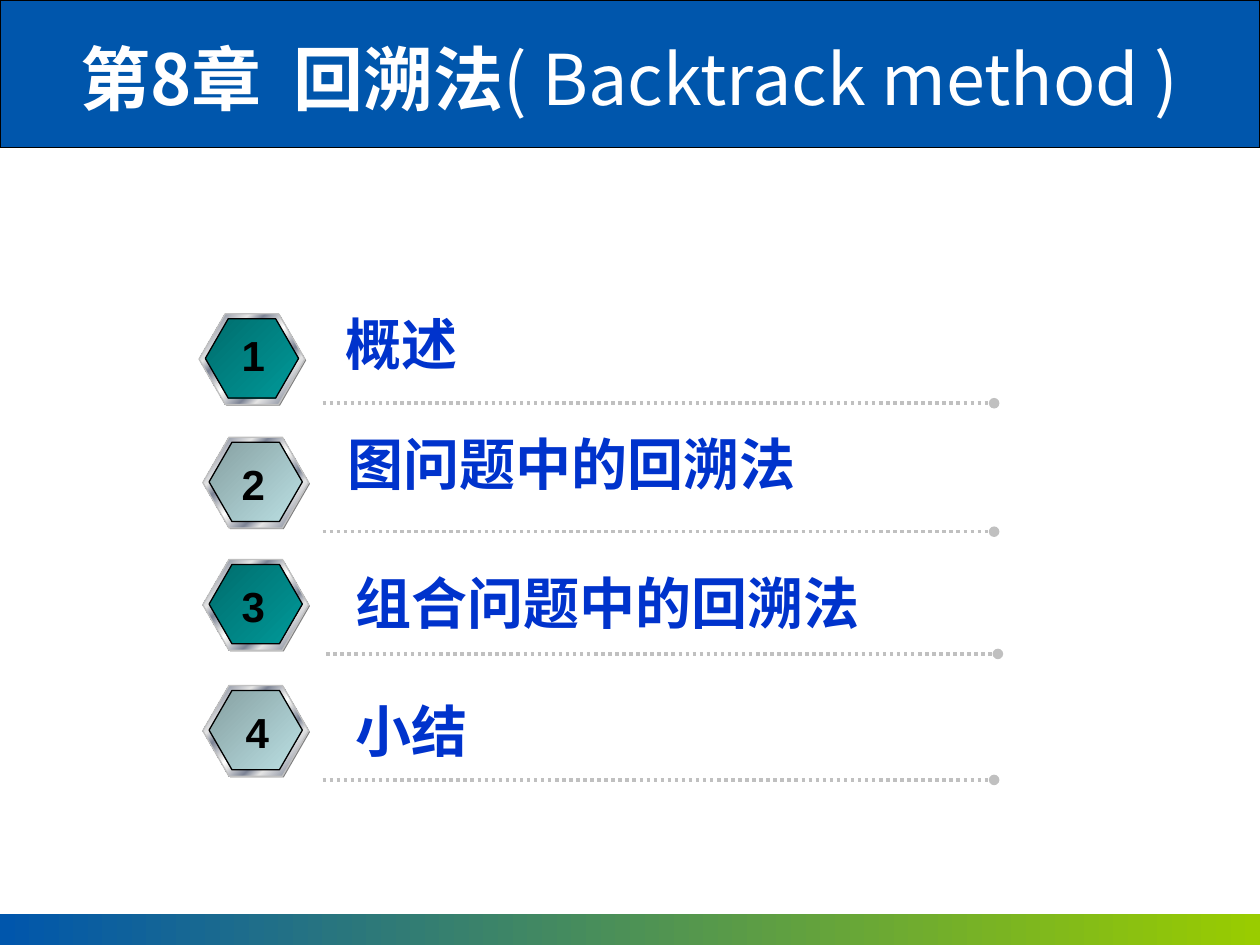
from lxml import etree
from pptx import Presentation
from pptx.dml.color import RGBColor
from pptx.enum.dml import MSO_LINE
from pptx.enum.shapes import MSO_CONNECTOR, MSO_SHAPE
from pptx.enum.text import MSO_AUTO_SIZE, PP_ALIGN
from pptx.oxml.ns import qn
from pptx.util import Inches, Pt

RECTANGLE, HEXAGON = MSO_SHAPE.RECTANGLE, MSO_SHAPE.HEXAGON
STRAIGHT, DOTTED = MSO_CONNECTOR.STRAIGHT, MSO_LINE.ROUND_DOT
LEFT, CENTER = PP_ALIGN.LEFT, PP_ALIGN.CENTER
FIT_SHAPE = MSO_AUTO_SIZE.SHAPE_TO_FIT_TEXT

WHITE = RGBColor(0xFF, 0xFF, 0xFF)
BLACK = RGBColor(0x00, 0x00, 0x00)
BLUE = RGBColor(0x00, 0x56, 0xAC)
LIME = RGBColor(0x99, 0xCC, 0x00)
TOPIC_BLUE = RGBColor(0x00, 0x33, 0xCC)
GRAY = RGBColor(0x80, 0x80, 0x80)
SILVER = RGBColor(0xC0, 0xC0, 0xC0)
PALE = RGBColor(0xE6, 0xE6, 0xE6)
STEEL = RGBColor(0x7D, 0x84, 0x96)
TEAL_DARK = RGBColor(0x00, 0x6D, 0x6D)
TEAL = RGBColor(0x00, 0x99, 0x99)
MIST_DARK = RGBColor(0x86, 0xA0, 0xA2)
MIST = RGBColor(0xBB, 0xE0, 0xE3)

METAL = [(0, PALE), (8, STEEL), (26, PALE), (34, STEEL), (46, PALE), (50, WHITE),
         (54, PALE), (66, STEEL), (74, PALE), (92, STEEL), (100, PALE)]
TEAL_FACE = [(0, TEAL_DARK), (100, TEAL)]
MIST_FACE = [(0, MIST_DARK), (100, MIST)]
CJK_FONT = "Noto Sans CJK SC"

deck = Presentation()
deck.slide_width, deck.slide_height = Inches(10), Inches(7.5)
slide = deck.slides.add_slide(deck.slide_layouts[6])


def draw(preset, box, stops, angle=0, outline=None):
    shape = slide.shapes.add_shape(preset, *map(Inches, box))
    shape.shadow.inherit = False
    if preset == HEXAGON:
        shape.adjustments[0], shape.adjustments[1] = 0.289, 1.155
    if len(stops) == 1:
        shape.fill.solid()
        shape.fill.fore_color.rgb = stops[0][1]
    else:
        shape.fill.gradient()
        shape.fill.gradient_angle = -angle % 360
        stop_list = shape._element.spPr.find(qn("a:gradFill")).find(qn("a:gsLst"))
        stop_list.clear()
        for percent, color in stops:
            stop = etree.SubElement(stop_list, qn("a:gs"), pos=str(percent * 1000))
            etree.SubElement(stop, qn("a:srgbClr"), val=str(color))
    if outline is None:
        shape.line.fill.background()
    else:
        shape.line.color.rgb = outline
        shape.line.width = Pt(0.75)


def write(box, parts, size, color, font="Arial", align=LEFT, wrap=True):
    frame = slide.shapes.add_textbox(*map(Inches, box)).text_frame
    frame.word_wrap = wrap
    frame.auto_size = FIT_SHAPE
    paragraph = frame.paragraphs[0]
    paragraph.alignment = align
    for text, bold in parts:
        run = paragraph.add_run()
        run.text = text
        run.font.name, run.font.size, run.font.bold = font, Pt(size), bold
        run.font.color.rgb = color
        etree.SubElement(run._r.get_or_add_rPr(), qn("a:ea"), typeface=CJK_FONT)


draw(RECTANGLE, (0, 0, 10, 1.17), [(0, BLUE)], outline=BLACK)
draw(RECTANGLE, (0, 7.25, 10, 0.25), [(0, BLUE), (100, LIME)])
write((0.18, 0.23, 9.63, 0.77), [("第8章  回溯法", True), ("( Backtrack method )", False)],
      40, WHITE, font=CJK_FONT, align=CENTER)

# topic, topic left, topic top, badge left, badge top, number left, rule left, rule height
agenda = [
    ("概述", 2.64, 2.41, 1.58, 2.49, 1.82, 2.56, 3.2),
    ("图问题中的回溯法", 2.66, 3.36, 1.61, 3.47, 1.82, 2.56, 4.22),
    ("组合问题中的回溯法", 2.72, 4.46, 1.61, 4.44, 1.82, 2.59, 5.19),
    ("小结", 2.72, 5.48, 1.61, 5.44, 1.85, 2.56, 6.19),
]
for number, row in enumerate(agenda, start=1):
    topic, topic_left, topic_top, badge_left, badge_top, number_left, rule_left, rule_top = row
    face = TEAL_FACE if number % 2 else MIST_FACE
    draw(HEXAGON, (badge_left + 0.01, badge_top + 0.01, 0.84, 0.72), [(0, GRAY)])
    draw(HEXAGON, (badge_left, badge_top, 0.84, 0.72), METAL, angle=45, outline=SILVER)
    draw(HEXAGON, (badge_left + 0.05, badge_top + 0.04, 0.74, 0.63), face, angle=45, outline=BLACK)

    rule = slide.shapes.add_connector(STRAIGHT, Inches(rule_left), Inches(rule_top),
                                      Inches(rule_left + 5.33), Inches(rule_top))
    rule.line.color.rgb = SILVER
    rule.line.width = Pt(2)
    rule.line.dash_style = DOTTED
    rule_format = rule._element.spPr
    etree.SubElement(rule_format.find(qn("a:ln")), qn("a:tailEnd"), type="oval")
    etree.SubElement(rule_format, qn("a:effectLst"))

    write((number_left, rule_top - 0.63, 0.39, 0.5), [(str(number), True)], 24, BLACK, wrap=False)
    write((topic_left, topic_top, 5.12, 0.63), [(topic, True)], 32, TOPIC_BLUE)

deck.save("out.pptx")
